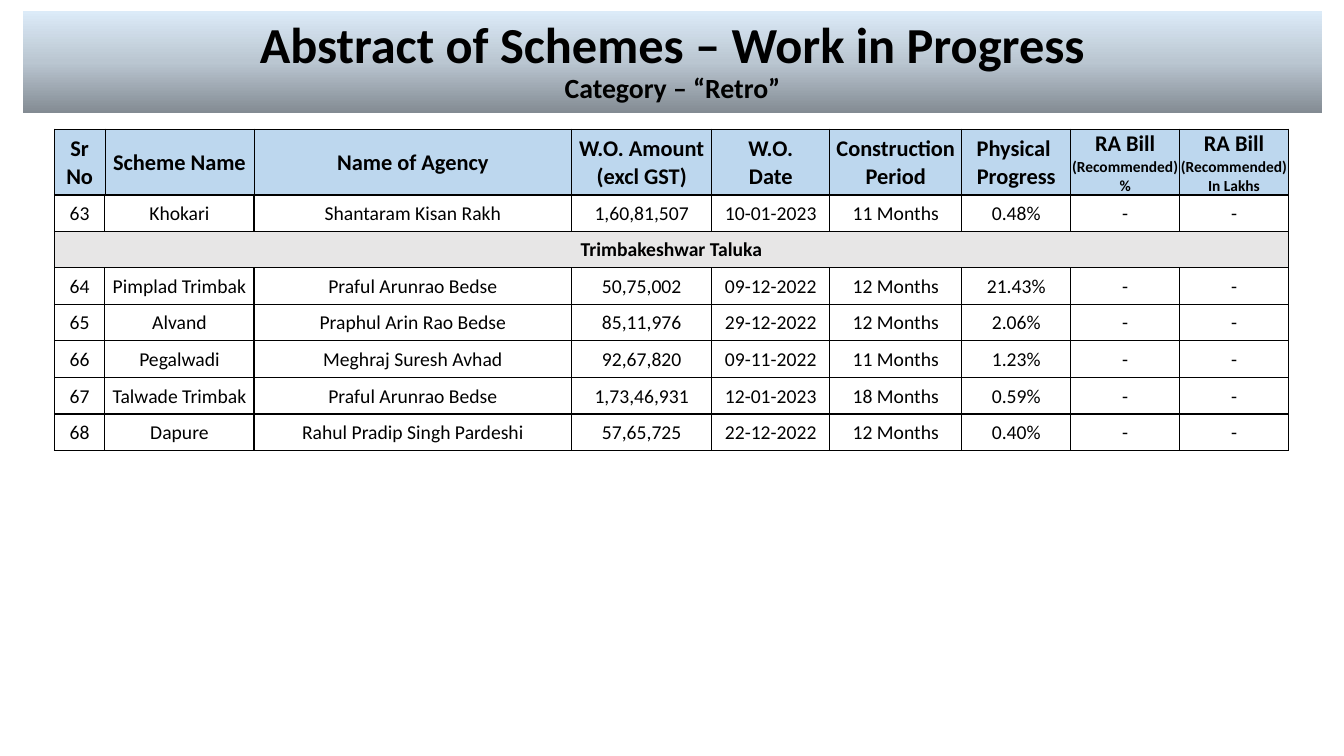
from copy import deepcopy

from lxml.etree import SubElement
from pptx import Presentation
from pptx.dml.color import RGBColor
from pptx.enum.shapes import MSO_SHAPE as SHAPE
from pptx.enum.text import MSO_ANCHOR as ANCHOR, PP_ALIGN as ALIGN
from pptx.oxml.ns import qn
from pptx.util import Inches, Pt

BLACK = RGBColor(0x00, 0x00, 0x00)
HEADER_BLUE = RGBColor(0xBD, 0xD7, 0xEE)
TALUKA_GRAY = RGBColor(0xE7, 0xE6, 0xE6)
BANNER_STOPS = [
    (0, RGBColor(0x83, 0x8B, 0x93)),
    (0.5, RGBColor(0xBA, 0xC6, 0xD1)),
    (1, RGBColor(0xDC, 0xEB, 0xF8)),
]

FONT = "Calibri"
LEFT = 0.54
COL_WIDTHS = [0.5, 1.48, 3.15, 1.39, 1.17, 1.31, 1.08, 1.08, 1.08]
HEADER_HEIGHT, ROW_HEIGHT = 0.65, 0.363
CELL_FORMAT = {
    "margin_left": Inches(0.01),
    "margin_right": Inches(0.01),
    "margin_top": Inches(0.01),
    "margin_bottom": 0,
    "vertical_anchor": ANCHOR.MIDDLE,
}

TITLE = [("Abstract of Schemes – Work in Progress", 36), ("Category – “Retro”", 19.8)]
HEADERS = [
    [("Sr No", 16)],
    [("Scheme Name", 16)],
    [("Name of Agency", 16)],
    [("W.O. Amount", 16), ("(excl GST)", 16)],
    [("W.O.", 16), ("Date", 16)],
    [("Construction", 16), ("Period", 16)],
    [("Physical ", 16), ("Progress", 16)],
    [("RA Bill", 16), ("(Recommended)", 11), ("%", 11)],
    [("RA Bill", 16), ("(Recommended)", 11), ("In Lakhs", 11)],
]
SCHEMES = [
    ["63", "Khokari", "Shantaram Kisan Rakh", "1,60,81,507", "10-01-2023", "11 Months", "0.48%", "-", "-"],
    ["Trimbakeshwar Taluka"],
    ["64", "Pimplad Trimbak", "Praful Arunrao Bedse", "50,75,002", "09-12-2022", "12 Months", "21.43%", "-", "-"],
    ["65", "Alvand", "Praphul Arin Rao Bedse", "85,11,976", "29-12-2022", "12 Months", "2.06%", "-", "-"],
    ["66", "Pegalwadi", "Meghraj Suresh Avhad", "92,67,820", "09-11-2022", "11 Months", "1.23%", "-", "-"],
    ["67", "Talwade Trimbak", "Praful Arunrao Bedse", "1,73,46,931", "12-01-2023", "18 Months", "0.59%", "-", "-"],
    ["68", "Dapure", "Rahul Pradip Singh Pardeshi", "57,65,725", "22-12-2022", "12 Months", "0.40%", "-", "-"],
]


def write_lines(tf, lines, bold=False, spacing=1.0):
    """Write (text, size) pairs as centred paragraphs."""
    for i, (text, size) in enumerate(lines):
        p = tf.add_paragraph() if i else tf.paragraphs[0]
        p.alignment, p.line_spacing = ALIGN.CENTER, spacing
        r = p.add_run()
        r.text = text
        font = {"name": FONT, "size": Pt(size), "bold": bold}
        for name, value in font.items():
            setattr(r.font, name, value)
        r.font.color.rgb = BLACK


def add_banner(slide):
    sp = slide.shapes.add_shape(
        SHAPE.RECTANGLE, Inches(0.23), Inches(0.11), Inches(12.88), Inches(1.01)
    )
    sp.shadow.inherit = False
    sp.line.fill.background()
    sp.fill.gradient()
    sp.fill.gradient_angle = 90
    stop_list = sp._element.spPr.find(".//" + qn("a:gsLst"))
    stop_list.append(deepcopy(stop_list[0]))
    for stop, (position, color) in zip(sp.fill.gradient_stops, BANNER_STOPS):
        stop.position = position
        stop.color.rgb = color
    tf = sp.text_frame
    tf.word_wrap = True
    tf.vertical_anchor = ANCHOR.MIDDLE
    write_lines(tf, TITLE, bold=True, spacing=0.9)


def set_borders(cell, width, bottom):
    tc_pr = cell._tc.get_or_add_tcPr()
    sides = {"lnL": width, "lnR": width, "lnT": width, "lnB": bottom}
    for i, (side, points) in enumerate(sides.items()):
        ln = SubElement(tc_pr, qn("a:" + side), w=str(Pt(points)))
        tc_pr.insert(i, ln)
        fill = SubElement(ln, qn("a:solidFill"))
        SubElement(fill, qn("a:srgbClr"), val=str(BLACK))


def format_cell(cell, fill=None, border=1, bottom=1):
    for name, value in CELL_FORMAT.items():
        setattr(cell, name, value)
    if fill is None:
        cell.fill.background()
    else:
        cell.fill.solid()
        cell.fill.fore_color.rgb = fill
    set_borders(cell, border, bottom)


def add_grid(slide, top, row_count, row_height):
    frame = slide.shapes.add_table(
        row_count, len(COL_WIDTHS), Inches(LEFT), Inches(top),
        Inches(sum(COL_WIDTHS)), Inches(row_count * row_height),
    )
    table = frame.table
    table.first_row = table.horz_banding = False
    for column, width in zip(table.columns, COL_WIDTHS):
        column.width = Inches(width)
    for row in table.rows:
        row.height = Inches(row_height)
    return table


def add_header(slide, top):
    table = add_grid(slide, top, 1, HEADER_HEIGHT)
    for cell, lines in zip(table.rows[0].cells, HEADERS):
        format_cell(cell, HEADER_BLUE, border=0.5)
        write_lines(cell.text_frame, lines, bold=True)


def add_schemes(slide, top):
    table = add_grid(slide, top, len(SCHEMES), ROW_HEIGHT)
    for row, values in zip(table.rows, SCHEMES):
        cells = list(row.cells)
        is_taluka = len(values) == 1
        for cell in cells:
            format_cell(cell, TALUKA_GRAY if is_taluka else None)
        if is_taluka:
            cells[0].merge(cells[-1])
        for cell, text in zip(cells, values):
            write_lines(cell.text_frame, [(text, 14)], bold=is_taluka)


def main():
    prs = Presentation()
    prs.slide_width, prs.slide_height = Inches(13.33), Inches(7.5)
    slide = prs.slides.add_slide(prs.slide_layouts[6])
    add_banner(slide)
    add_header(slide, 1.28)
    add_schemes(slide, 1.28 + HEADER_HEIGHT)
    prs.save("out.pptx")


if __name__ == "__main__":
    main()
